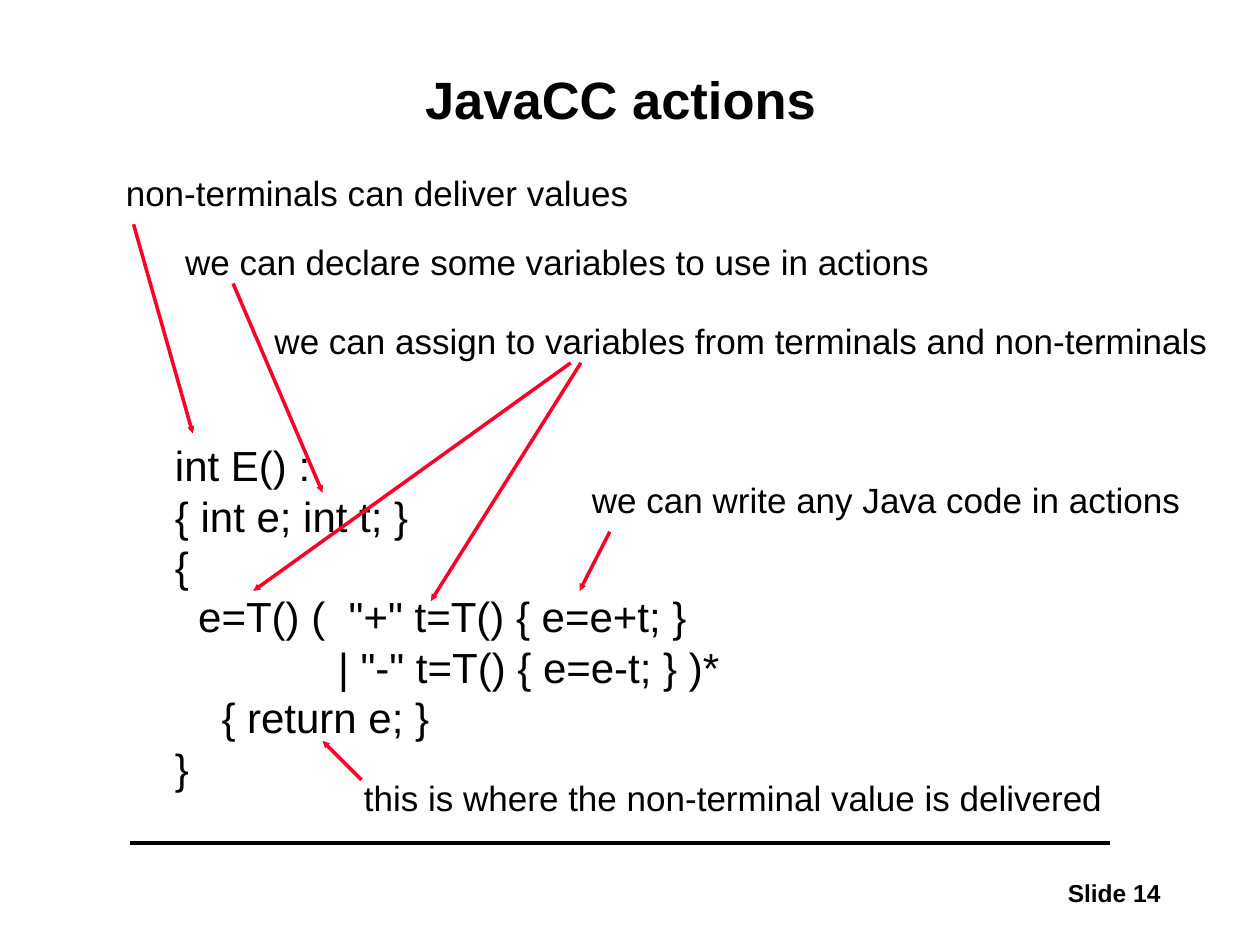
from dataclasses import dataclass

import pptx
import pptx.dml.color
import pptx.enum.shapes
import pptx.enum.text
import pptx.oxml
import pptx.oxml.ns
import pptx.util

Inches = pptx.util.Inches
Pt = pptx.util.Pt
Align = pptx.enum.text.PP_ALIGN
AutoSize = pptx.enum.text.MSO_AUTO_SIZE


@dataclass(frozen=True)
class Theme:
    font: str = "Arial"
    ink: str = "000000"
    accent: str = "FC0128"
    title_size: int = 30
    code_size: int = 24
    note_size: int = 20
    footer_size: int = 14
    line_width: int = 2


THEME = Theme()

CODE = """int E() :
{ int e; int t; }
{
  e=T() (  "+" t=T() { e=e+t; }
              | "-" t=T() { e=e-t; } )*
    { return e; }
}"""

NOTES = [
    ("non-terminals can deliver values", 0.9, 1.31, 4.19),
    ("we can declare some variables to use in actions", 1.37, 1.86, 6.11),
    ("we can assign to variables from terminals and non-terminals", 2.08, 2.49, 7.61),
    ("we can write any Java code in actions", 4.6, 3.75, 4.87),
    ("this is where the non-terminal value is delivered", 2.79, 6.11, 6.06),
]
NOTE_HEIGHT = 0.44

ARROWS = [
    ((1.06, 1.78), (1.53, 3.44)),
    ((1.85, 2.25), (2.56, 3.91)),
    ((4.61, 2.88), (3.42, 4.77)),
    ((4.53, 2.88), (2.01, 4.69)),
    ((4.84, 4.22), (4.6, 4.69)),
    ((2.87, 6.19), (2.56, 5.88)),
]


def write_text(frame, text, size, bold=False, align=Align.LEFT, spacing=1.0):
    """Put each line of the text in a paragraph of its own."""
    for index, line in enumerate(text.split("\n")):
        para = frame.add_paragraph() if index else frame.paragraphs[0]
        para.alignment = align
        para.line_spacing = spacing
        para.space_before = Pt(0)
        span = para.add_run()
        span.text = line
        span.font.name = THEME.font
        span.font.size = Pt(size)
        span.font.bold = bold
        span.font.color.rgb = pptx.dml.color.RGBColor.from_string(THEME.ink)


def add_text(slide, text, left, top, width, height, **text_format):
    box = slide.shapes.add_textbox(*map(Inches, (left, top, width, height)))
    box.text_frame.word_wrap = False
    box.text_frame.auto_size = AutoSize.SHAPE_TO_FIT_TEXT
    write_text(box.text_frame, text, **text_format)


def set_title(slide, text):
    title = slide.shapes.title
    title.left, title.top = Inches(1.08), Inches(0.33)
    title.width, title.height = Inches(7.69), Inches(0.96)
    frame = title.text_frame
    frame.auto_size = AutoSize.NONE
    frame.vertical_anchor = pptx.enum.text.MSO_ANCHOR.MIDDLE
    write_text(frame, text, size=THEME.title_size, bold=True,
               align=Align.CENTER, spacing=0.9)


def add_line(slide, start, end, color, arrow=False):
    line = slide.shapes.add_connector(
        pptx.enum.shapes.MSO_CONNECTOR.STRAIGHT, *map(Inches, (*start, *end)))
    line.line.color.rgb = pptx.dml.color.RGBColor.from_string(color)
    line.line.width = Pt(THEME.line_width)
    if arrow:
        head = pptx.oxml.parse_xml(
            f'<a:tailEnd {pptx.oxml.ns.nsdecls("a")} type="triangle" w="sm" len="sm"/>')
        line.line._get_or_add_ln().append(head)
    line._element.spPr.append(
        pptx.oxml.parse_xml(f'<a:effectLst {pptx.oxml.ns.nsdecls("a")}/>'))


def add_footer(slide):
    add_line(slide, (1.03, 6.69), (8.81, 6.69), THEME.ink)
    add_text(slide, "Slide 14", 7.64, 6.92, 1.67, 0.33,
             size=THEME.footer_size, bold=True, align=Align.RIGHT)


def main():
    deck = pptx.Presentation()
    deck.slide_width, deck.slide_height = Inches(10), Inches(7.5)
    slide = deck.slides.add_slide(deck.slide_layouts.get_by_name("Title Only"))
    add_footer(slide)
    set_title(slide, "JavaCC actions")
    add_text(slide, CODE, 1.29, 3.44, 4.55, 3.3, size=THEME.code_size)
    for text, left, top, width in NOTES:
        add_text(slide, text, left, top, width, NOTE_HEIGHT, size=THEME.note_size)
    for start, end in ARROWS:
        add_line(slide, start, end, THEME.accent, arrow=True)
    deck.save("out.pptx")


if __name__ == "__main__":
    main()
